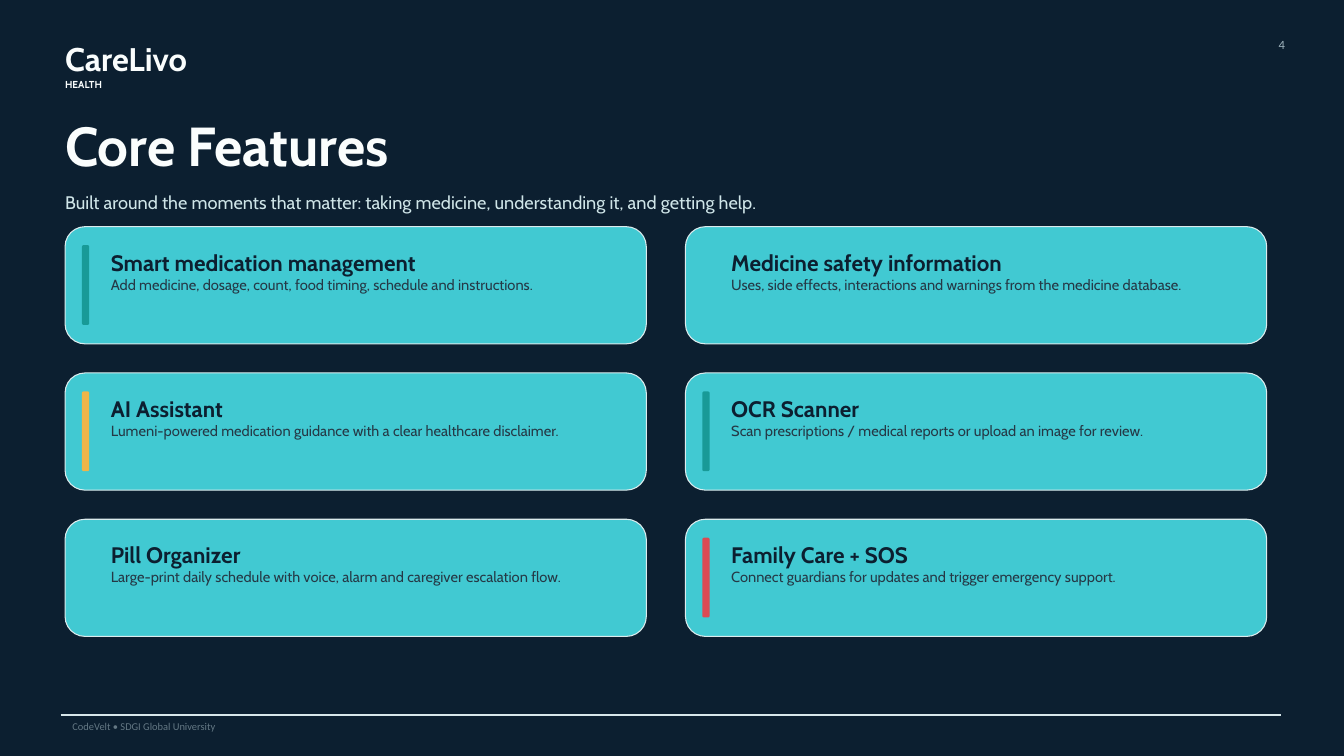
from pptx import Presentation
from pptx.dml.color import RGBColor
from pptx.enum.shapes import MSO_CONNECTOR, MSO_SHAPE
from pptx.enum.text import MSO_ANCHOR, PP_ALIGN
from pptx.oxml.ns import qn
from pptx.util import Cm, Pt
from lxml.etree import SubElement

THEME = {
    "bg": "0C1F30", "card": "41C9D2", "edge": "DCEBED", "rule": "D7E6E9",
    "teal": "189A97", "amber": "EFB549", "red": "DC4A53",
    # style: font, size, line spacing, colour, bold
    "brand": ("Cabin", 35, 42, "FAFDFD", True),
    "tag": ("Cabin", 10.8, 13, "FAFDFD", True),
    "page": ("Calibri", 13.5, 16.2, "A0B4BE", False),
    "title": ("Cabin", 58.8, 70.6, "FAFDFD", True),
    "lead": ("Cabin", 19.5, 23.4, "CFE5E8", False),
    "heading": ("Cabin", 24, 28.8, "0C1F30", True),
    "body": ("Cabin", 15.7, 18.9, "253946", False),
    "footer": ("Calibri", 11.2, 13.5, "647884", False),
}

TITLE = "Core Features"
LEAD = "Built around the moments that matter: taking medicine, understanding it, and getting help."
# heading, description, accent bar colour
FEATURES = [
    ("Smart medication management",
     "Add medicine, dosage, count, food timing, schedule and instructions.", "teal"),
    ("Medicine safety information",
     "Uses, side effects, interactions and warnings from the medicine database.", None),
    ("AI Assistant",
     "Lumeni-powered medication guidance with a clear healthcare disclaimer.", "amber"),
    ("OCR Scanner",
     "Scan prescriptions / medical reports or upload an image for review.", "teal"),
    ("Pill Organizer",
     "Large-print daily schedule with voice, alarm and caregiver escalation flow.", None),
    ("Family Care + SOS",
     "Connect guardians for updates and trigger emergency support.", "red"),
]

LEFT, CARDS_TOP = 2.46, 8.57
CARD_W, CARD_H = 21.97, 4.43
COLUMN_STEP, ROW_STEP = 23.45, 5.53
COLUMNS = 2


def color(name):
    return RGBColor.from_string(THEME[name])


def write(sp, lines, align=PP_ALIGN.LEFT):
    """Fill a shape with (text, style) paragraphs, without margins."""
    tf = sp.text_frame
    tf.word_wrap = True
    tf.vertical_anchor = MSO_ANCHOR.TOP
    tf.margin_left = tf.margin_right = tf.margin_top = tf.margin_bottom = 0
    tf.text = "\n".join(text for text, _ in lines)
    for p, (_, style) in zip(tf.paragraphs, lines):
        name, size, spacing, rgb, bold = THEME[style]
        p.alignment = align
        p.line_spacing = Pt(spacing)
        p.space_before = Pt(0)
        font = p.runs[0].font
        font.name, font.size, font.bold = name, Pt(size), bold
        font.color.rgb = RGBColor.from_string(rgb)


def add_text(slide, box, lines, align=PP_ALIGN.LEFT):
    write(slide.shapes.add_textbox(*map(Cm, box)), lines, align)


def add_rounded(slide, box, fill, corner, edge=None):
    sp = slide.shapes.add_shape(MSO_SHAPE.ROUNDED_RECTANGLE, *map(Cm, box))
    sp.adjustments[0] = corner
    sp.shadow.inherit = False
    sp.fill.solid()
    sp.fill.fore_color.rgb = color(fill)
    if edge:
        sp.line.color.rgb = color(edge)
        sp.line.width = Pt(1.13)
    else:
        sp.line.fill.background()


def add_card(slide, x, y, heading, body, accent):
    add_rounded(slide, (x, y, CARD_W, CARD_H), "card", 0.17, "edge")
    if accent:
        add_rounded(slide, (x + 0.64, y + 0.7, 0.27, 3.01), accent, 0.2)
    add_text(slide, (x + 1.73, y + 0.83, 19.33, 2.92),
             [(heading, "heading"), (body, "body")])


def add_rule(slide, x1, x2, y):
    rule = slide.shapes.add_connector(MSO_CONNECTOR.STRAIGHT, Cm(x1), Cm(y), Cm(x2), Cm(y))
    rule.line.color.rgb = color("rule")
    rule.line.width = Pt(1.5)
    SubElement(rule._element.spPr, qn("a:effectLst"))


def main():
    prs = Presentation()
    prs.slide_width, prs.slide_height = Cm(50.8), Cm(28.58)
    slide = prs.slides.add_slide(prs.slide_layouts[5])
    slide.background.fill.solid()
    slide.background.fill.fore_color.rgb = color("bg")

    title = slide.shapes.title
    title.left, title.top, title.width, title.height = map(Cm, (LEFT, 4.22, 13.92, 2.49))
    write(title, [(TITLE, "title")])

    add_text(slide, (LEFT, 1.47, 6.5, 1.94), [("CareLivo", "brand"), ("HEALTH", "tag")])
    add_text(slide, (47.35, 1.38, 1.22, 0.79), [("4", "page")], PP_ALIGN.RIGHT)
    add_text(slide, (LEFT, 7.22, 33.05, 0.81), [(LEAD, "lead")])

    for i, feature in enumerate(FEATURES):
        row, column = divmod(i, COLUMNS)
        add_card(slide, LEFT + column * COLUMN_STEP, CARDS_TOP + row * ROW_STEP, *feature)

    add_rule(slide, 2.29, 48.41, 27.03)
    add_text(slide, (2.74, 27.22, 22.38, 0.66),
             [("CodeVelt • SDGI Global University", "footer")])
    prs.save("out.pptx")


if __name__ == "__main__":
    main()
